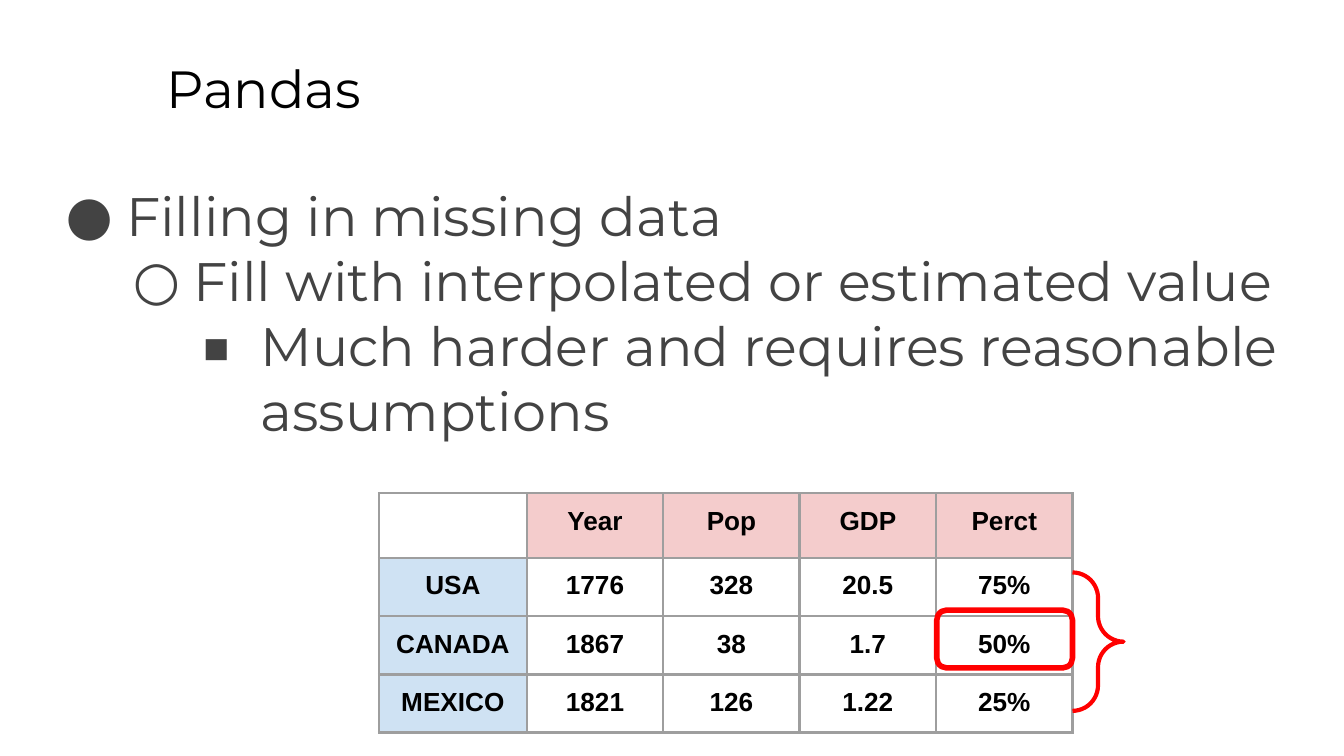
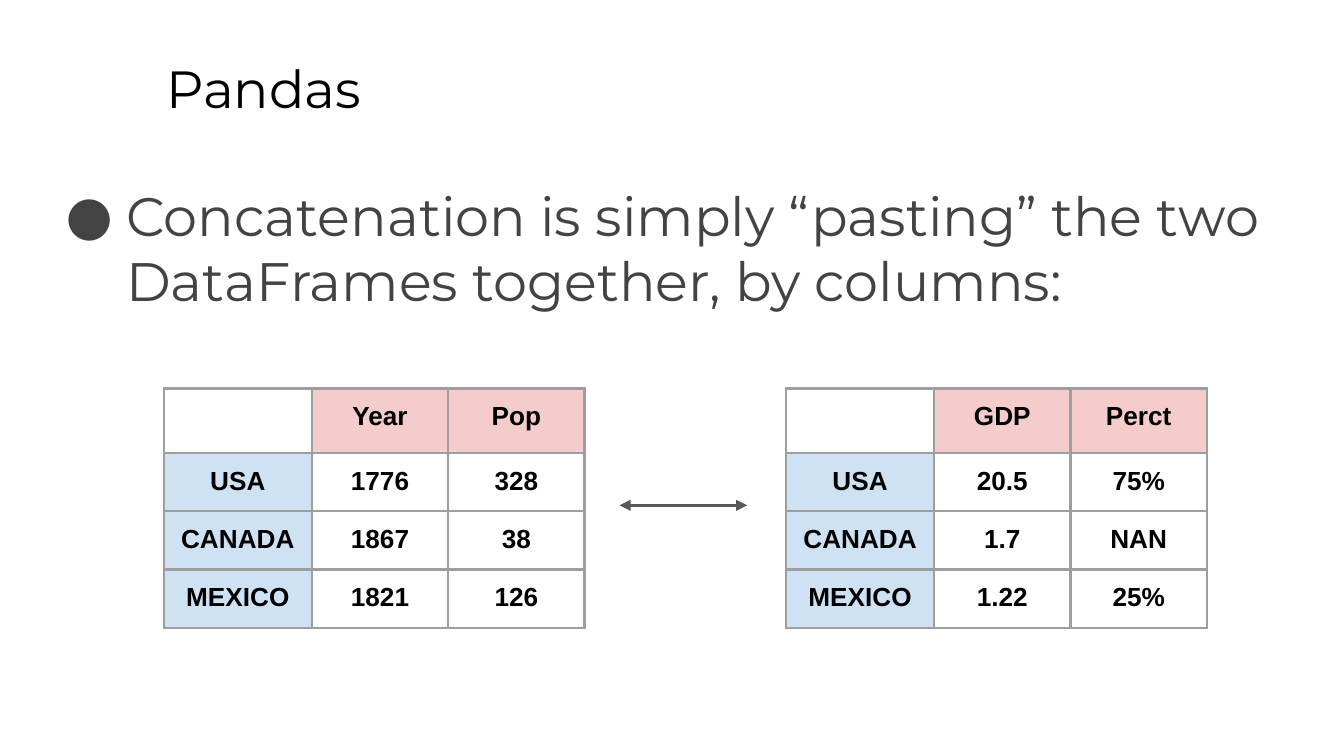
import pptx
import pptx.util
import pptx.dml.color
import pptx.enum.shapes
import pptx.enum.text
import pptx.oxml
import pptx.oxml.ns

Inches = pptx.util.Inches
Pt = pptx.util.Pt
RGBColor = pptx.dml.color.RGBColor
SHAPE = pptx.enum.shapes.MSO_SHAPE

BLACK = RGBColor(0, 0, 0)
GREY = RGBColor(0x43, 0x43, 0x43)
RULE = RGBColor(0x9E, 0x9E, 0x9E)
ARROW = RGBColor(0x59, 0x59, 0x59)
PINK = RGBColor(0xF4, 0xCC, 0xCC)
BLUE = RGBColor(0xCF, 0xE2, 0xF3)
RED = RGBColor(0xFF, 0, 0)

TITLE = (1.14, 0.32, 8.52, 0.63)
BODY = (0.34, 1.26, 9.5, 3.74)
INSET = 0.1
FONT = "Montserrat"
BULLETS = "●○■"
KEY_W, COL_W = 1.1, 4.06 / 4
HEAD_H, ROW_H = 0.48, 0.43

LANDS = ["USA", "CANADA", "MEXICO"]
YEAR = ["Year", "1776", "1867", "1821"]
POP = ["Pop", "328", "38", "126"]
GDP = ["GDP", "20.5", "1.7", "1.22"]
FILLED = ["Perct", "75%", "50%", "25%"]
GAPPED = ["Perct", "75%", "NAN", "25%"]


def add_xml(parent, tag, inner="", **attrs):
    """Append one DrawingML element to parent."""
    names = pptx.oxml.ns.nsdecls("a")
    pairs = " ".join(f'{key}="{val}"' for key, val in attrs.items())
    parent.append(pptx.oxml.parse_xml(f"<a:{tag} {names} {pairs}>{inner}</a:{tag}>"))


def solid(color):
    return f'<a:solidFill><a:srgbClr val="{color}"/></a:solidFill>'


def pad(item):
    """Set equal margins on a text frame or a table cell."""
    item.margin_left = item.margin_right = Inches(INSET)
    item.margin_top = item.margin_bottom = Inches(INSET)


def style(para, font, size, color, bold=False):
    for run in para.runs:
        run.font.name = font
        run.font.size = Pt(size)
        run.font.color.rgb = color
        run.font.bold = bold


def add_text(slide, box, text):
    frame = slide.shapes.add_textbox(*map(Inches, box)).text_frame
    frame.word_wrap = True
    pad(frame)
    frame.text = text
    return frame


def add_title(slide, text):
    frame = add_text(slide, TITLE, text)
    style(frame.paragraphs[0], FONT, 28, BLACK)


def add_body(slide, lines):
    """Write the lines as bullets, each one level deeper than the last."""
    frame = add_text(slide, BODY, "\n".join(lines))
    for level, para in enumerate(frame.paragraphs):
        para.level = level
        style(para, FONT, 29, GREY)
        props = para._p.get_or_add_pPr()
        props.set("marL", str(Inches(0.5 * (level + 1))))
        props.set("indent", str(Inches(-0.45)))
        add_xml(props, "buClr", f'<a:srgbClr val="{GREY}"/>')
        add_xml(props, "buFont", typeface=FONT)
        add_xml(props, "buChar", char=BULLETS[level])


def fill_cell(cell, text, fill):
    props = cell._tc.get_or_add_tcPr()
    for side in ("lnL", "lnR", "lnT", "lnB"):
        add_xml(props, side, solid(RULE), w=Pt(1.5))
    if fill:
        cell.fill.solid()
        cell.fill.fore_color.rgb = fill
    else:
        cell.fill.background()
    if text:
        pad(cell)
        cell.text = text
        para = cell.text_frame.paragraphs[0]
        para.alignment = pptx.enum.text.PP_ALIGN.CENTER
        style(para, "Arial", 14, BLACK, True)


def add_frame(slide, left, top, *series):
    """Draw a DataFrame: country keys, then one column per series."""
    cols = [["", *LANDS], *series]
    widths = [KEY_W] + [COL_W] * len(series)
    heights = [HEAD_H] + [ROW_H] * len(LANDS)
    box = (left, top, sum(widths), sum(heights))
    table = slide.shapes.add_table(len(heights), len(cols), *map(Inches, box)).table
    table.first_row = table.horz_banding = False
    for row, height in zip(table.rows, heights):
        row.height = Inches(height)
    for c, (col, width) in enumerate(zip(cols, widths)):
        table.columns[c].width = Inches(width)
        for r, text in enumerate(col):
            fill = None
            if r == 0 and c > 0:
                fill = PINK
            elif c == 0 and r > 0:
                fill = BLUE
            fill_cell(table.cell(r, c), text, fill)


def add_mark(slide, kind, box, width, *adjust):
    """Draw a red outline."""
    shape = slide.shapes.add_shape(kind, *map(Inches, box))
    shape.shadow.inherit = False
    shape.fill.background()
    shape.line.color.rgb = RED
    shape.line.width = Pt(width)
    for i, value in enumerate(adjust):
        shape.adjustments[i] = value


def add_arrow(slide, left, right, y):
    kind = pptx.enum.shapes.MSO_CONNECTOR.STRAIGHT
    line = slide.shapes.add_connector(kind, *map(Inches, (left, y, right, y)))
    line.line.color.rgb = ARROW
    line.line.width = Pt(1.5)
    for end in ("headEnd", "tailEnd"):
        add_xml(line.line._get_or_add_ln(), end, type="triangle")
    add_xml(line._element.spPr, "effectLst")


def add_slide(deck, lines):
    slide = deck.slides.add_slide(deck.slide_layouts[6])
    add_title(slide, "Pandas")
    add_body(slide, lines)
    return slide


def fill_slide(deck):
    slide = add_slide(deck, [
        "Filling in missing data",
        "Fill with interpolated or estimated value",
        "Much harder and requires reasonable assumptions",
    ])
    left, top = 2.82, 3.67
    add_frame(slide, left, top, YEAR, POP, GDP, FILLED)
    add_mark(slide, SHAPE.ROUNDED_RECTANGLE,
             (left + 4.15, top + 0.87, 1.01, ROW_H), 3, 0.17)
    add_mark(slide, SHAPE.RIGHT_BRACE,
             (left + 5.16, top + 0.59, 0.38, 1.03), 2.25, 0.5, 0.5)


def join_slide(deck):
    slide = add_slide(deck, [
        "Concatenation is simply “pasting” the two DataFrames together, by columns:",
    ])
    top = 2.89
    add_frame(slide, 5.85, top, GDP, GAPPED)
    add_frame(slide, 1.22, top, YEAR, POP)
    add_arrow(slide, 4.61, 5.56, top + 0.87)


def main():
    deck = pptx.Presentation()
    deck.slide_width = Inches(10)
    deck.slide_height = Inches(10) * 9 // 16
    fill_slide(deck)
    join_slide(deck)
    deck.save("out.pptx")


if __name__ == "__main__":
    main()
